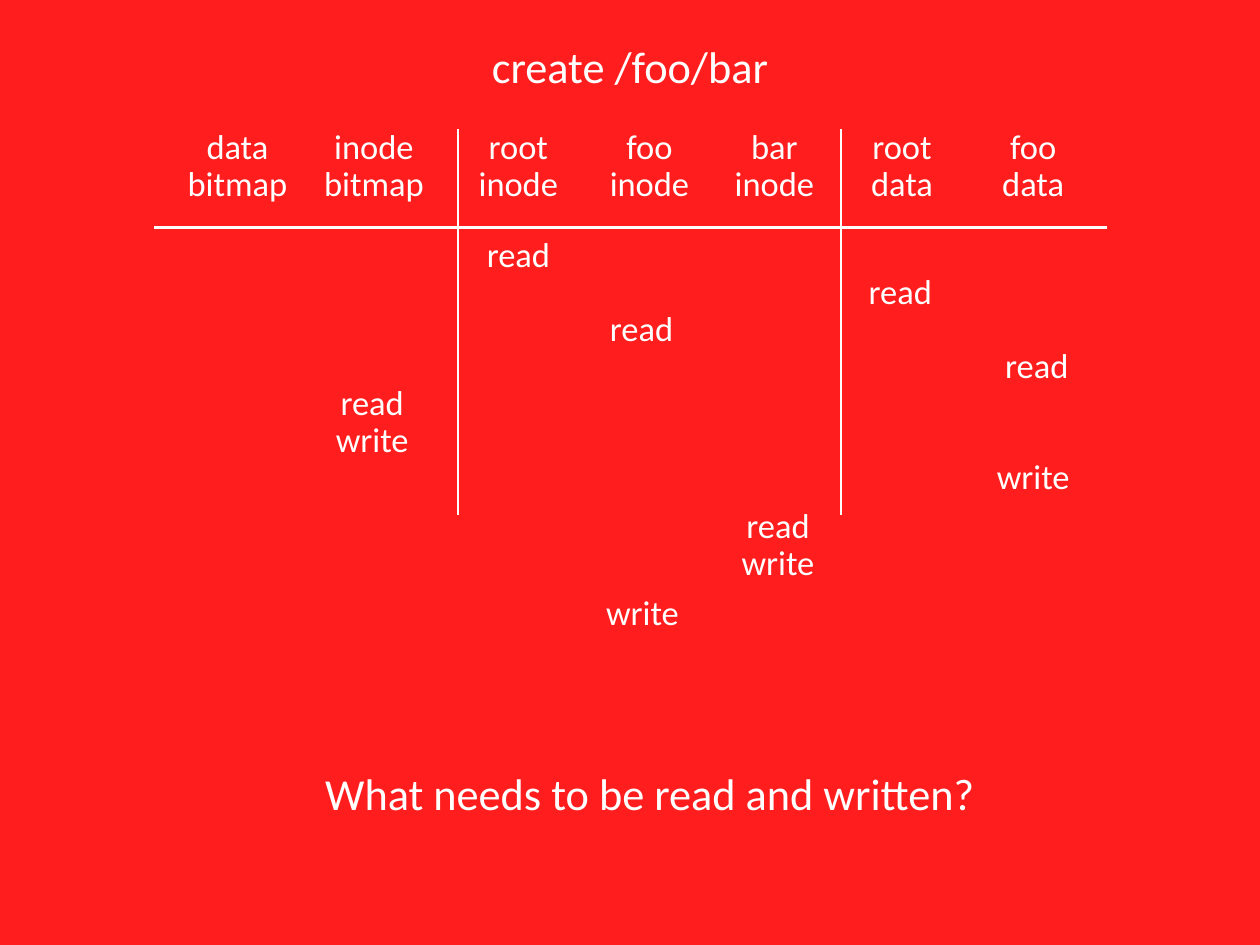
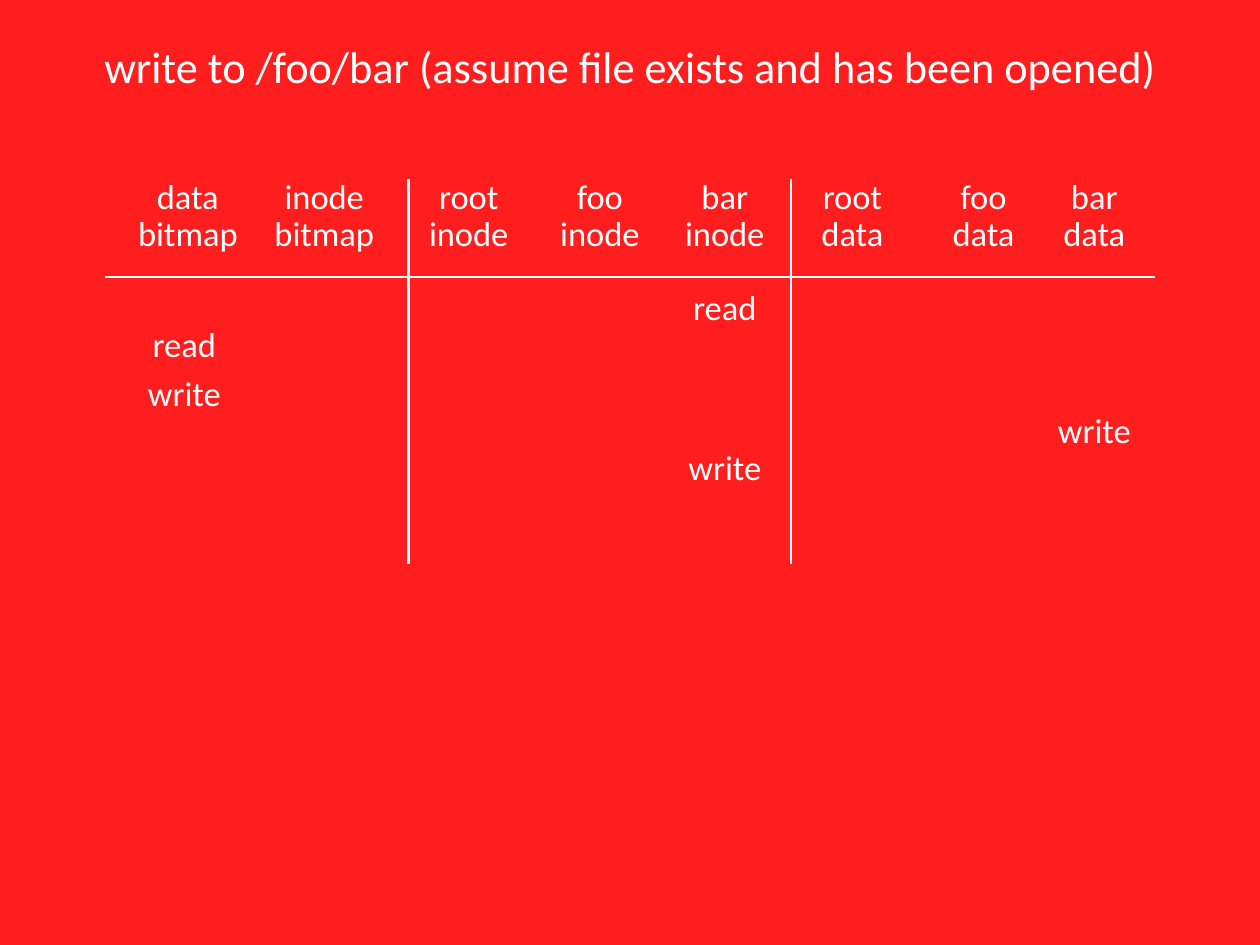
from dataclasses import dataclass

from lxml.etree import SubElement
from pptx import Presentation
from pptx.dml.color import RGBColor
from pptx.enum.shapes import MSO_CONNECTOR as Connector
from pptx.enum.text import MSO_ANCHOR as Anchor, MSO_AUTO_SIZE as AutoSize, PP_ALIGN as Align
from pptx.oxml.ns import qn
from pptx.shapes.base import BaseShape
from pptx.slide import Slide
from pptx.util import Inches, Pt

COLOURS = {"background": "FF1D1D", "ink": "FFFFFF"}
FONT = "Calibri"
LARGE, SMALL = 36, 28
SLIDE_WIDTH, SLIDE_HEIGHT = 14.22, 10.67
INSET = 0.06
WORD_HEIGHT = 0.58
LINE_PITCH = 0.417
GROUP_GAP = 0.14
WORD_WIDTHS = {"data": 0.9, "inode": 1.1, "root": 0.79, "foo": 0.67,
               "bar": 0.71, "bitmap": 1.33, "read": 0.92, "write": 0.95}
# Offsets below are measured from the grid's left and top.
COLUMN_CENTRES = {
    "data bitmap": 0.94, "inode bitmap": 2.48,
    "root inode": 4.11, "foo inode": 5.59, "bar inode": 7.0,
    "root data": 8.44, "foo data": 9.92, "bar data": 11.17,
}
DIVIDERS = (3.43, 7.75)
DIVIDER_TOP, DIVIDER_BOTTOM = 0.1, 4.45
RULE_TOP = 1.21


@dataclass(frozen=True)
class Access:
    word: str
    column: str
    nudge: float = 0
    new_group: bool = False


@dataclass(frozen=True)
class Timeline:
    title: str
    title_width: float
    left: float
    top: float
    width: float
    first_access: float
    columns: tuple[str, ...]
    accesses: tuple[Access, ...]


ALL_COLUMNS = tuple(COLUMN_CENTRES)
TIMELINES = (
    Timeline("create /foo/bar", 3.44, 1.74, 1.36, 10.75, 1.22, ALL_COLUMNS[:-1], (
        Access("read", "root inode"),
        Access("read", "root data", -0.02),
        Access("read", "foo inode", -0.09),
        Access("read", "foo data", 0.04),
        Access("read", "inode bitmap", -0.02),
        Access("write", "inode bitmap", -0.02),
        Access("write", "foo data"),
        Access("read", "bar inode", 0.04, new_group=True),
        Access("write", "bar inode", 0.04),
        Access("write", "foo inode", -0.08, new_group=True),
    )),
    Timeline("write to /foo/bar (assume file exists and has been opened)",
             12.51, 1.18, 1.92, 11.85, 1.25, ALL_COLUMNS, (
        Access("read", "bar inode"),
        Access("read", "data bitmap", -0.04),
        Access("write", "data bitmap", -0.04, new_group=True),
        Access("write", "bar data"),
        Access("write", "bar inode"),
    )),
)


def write_line(box: BaseShape, text: str, size: int, inset: float = INSET) -> None:
    """Set one centred line that does not wrap."""
    frame = box.text_frame
    frame.text = text
    frame.word_wrap = False
    frame.auto_size = AutoSize.SHAPE_TO_FIT_TEXT
    frame.vertical_anchor = Anchor.MIDDLE
    frame.margin_left = frame.margin_right = Inches(inset)
    frame.margin_top = frame.margin_bottom = Inches(min(inset, INSET))
    para = frame.paragraphs[0]
    para.alignment = Align.CENTER
    font = para.runs[0].font
    font.name = FONT
    font.size = Pt(size)
    font.color.rgb = RGBColor.from_string(COLOURS["ink"])


def add_title(page: Slide, text: str, width: float) -> None:
    title = page.shapes.title
    title.left, title.top = Inches((SLIDE_WIDTH - width) / 2), Inches(0.38)
    title.width, title.height = Inches(width), Inches(0.72)
    write_line(title, text, LARGE)


def add_word(page: Slide, word: str, centre: float, top: float) -> None:
    width = WORD_WIDTHS[word]
    box = page.shapes.add_textbox(
        Inches(centre - width / 2), Inches(top), Inches(width), Inches(WORD_HEIGHT))
    write_line(box, word, SMALL)


def add_line(page: Slide, x1: float, y1: float, x2: float, y2: float) -> None:
    line = page.shapes.add_connector(
        Connector.STRAIGHT, Inches(x1), Inches(y1), Inches(x2), Inches(y2))
    line.line.color.rgb = RGBColor.from_string(COLOURS["ink"])
    line.line.width = Pt(2)
    SubElement(line._element.spPr, qn("a:effectLst"))


def add_grid(page: Slide, timeline: Timeline) -> None:
    """Draw the two-line column heads, the rule and the dividers."""
    left, top = timeline.left, timeline.top
    for column in timeline.columns:
        for row, word in enumerate(column.split()):
            add_word(page, word, left + COLUMN_CENTRES[column], top + row * LINE_PITCH)
    add_line(page, left, top + RULE_TOP, left + timeline.width, top + RULE_TOP)
    for offset in DIVIDERS:
        add_line(page, left + offset, top + DIVIDER_BOTTOM, left + offset, top + DIVIDER_TOP)


def add_accesses(page: Slide, timeline: Timeline) -> None:
    """Place the reads and writes downwards in time order."""
    top = timeline.top + timeline.first_access
    for access in timeline.accesses:
        if access.new_group:
            top += GROUP_GAP
        centre = timeline.left + COLUMN_CENTRES[access.column] + access.nudge
        add_word(page, access.word, centre, top)
        top += LINE_PITCH


def add_question(page: Slide, text: str) -> None:
    box = page.shapes.add_textbox(Inches(3.46), Inches(8.6), Inches(7.75), Inches(0.71))
    write_line(box, text, LARGE, inset=0.1)


def main() -> None:
    deck = Presentation()
    deck.slide_width, deck.slide_height = Inches(SLIDE_WIDTH), Inches(SLIDE_HEIGHT)
    fill = deck.slide_master.background.fill
    fill.solid()
    fill.fore_color.rgb = RGBColor.from_string(COLOURS["background"])
    title_only = deck.slide_layouts.get_by_name("Title Only")
    for timeline in TIMELINES:
        page = deck.slides.add_slide(title_only)
        add_title(page, timeline.title, timeline.title_width)
        add_grid(page, timeline)
        add_accesses(page, timeline)
    add_question(deck.slides[0], "What needs to be read and written?")
    deck.save("out.pptx")


if __name__ == "__main__":
    main()
